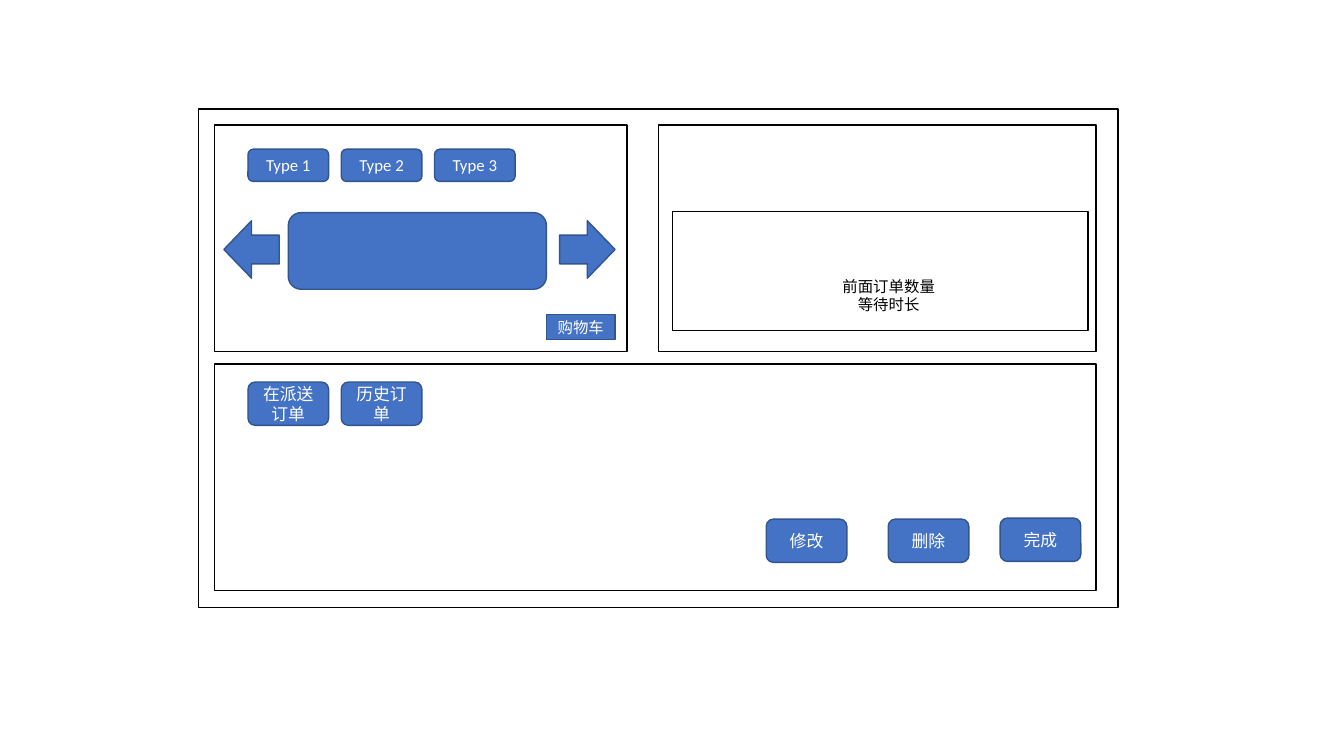
from pptx import Presentation
from pptx.dml.color import RGBColor
from pptx.enum.shapes import MSO_SHAPE
from pptx.enum.text import MSO_ANCHOR, PP_ALIGN
from pptx.util import Inches, Pt

BLUE = RGBColor(0x44, 0x72, 0xC4)
DARK_BLUE = RGBColor(0x32, 0x54, 0x91)
BLACK = RGBColor(0, 0, 0)
WHITE = RGBColor(255, 255, 255)
FONT = "Calibri"

# Content: boxes are (left, top, width, height) in inches
TYPES = ["Type 1", "Type 2", "Type 3"]
ORDER_TABS = ["在派送订单", "历史订单"]
ACTIONS = [("修改", 7.6, 5.15), ("删除", 8.81, 5.15), ("完成", 9.92, 5.14)]
CART = "购物车"
QUEUE_INFO = "前面订单数量\n等待时长"

WINDOW = (1.97, 1.08, 9.12, 4.95)
PANEL_LEFT, PANEL_TOP, PANEL_HEIGHT = 2.13, 1.24, 2.25
ORDERS_TOP = 3.61
PANELS = [
    WINDOW,
    (PANEL_LEFT, PANEL_TOP, 4.09, PANEL_HEIGHT),
    (6.53, PANEL_TOP, 4.34, PANEL_HEIGHT),
    (PANEL_LEFT, ORDERS_TOP, 8.74, PANEL_HEIGHT),
    (6.67, 2.1, 4.12, 1.18),
]
BUTTON_LEFT, BUTTON_PITCH, BUTTON_WIDTH = 2.46, 0.925, 0.8
TYPE_HEIGHT, ORDER_HEIGHT = 0.32, 0.43
ARROWS = [(MSO_SHAPE.LEFT_ARROW, 2.22), (MSO_SHAPE.RIGHT_ARROW, 5.55)]


def write(frame, text, size, color):
    """Put centred text into a frame and format every run."""
    frame.text = text
    for paragraph in frame.paragraphs:
        paragraph.alignment = PP_ALIGN.CENTER
        for run in paragraph.runs:
            run.font.name = FONT
            run.font.size = Pt(size)
            run.font.color.rgb = color


def add_block(kind, box, text="", size=12, fill=BLUE, line=DARK_BLUE):
    """Add an outlined shape, filled and labelled if asked."""
    block = slide.shapes.add_shape(kind, *map(Inches, box))
    block.shadow.inherit = False
    if fill is None:
        block.fill.background()
    else:
        block.fill.solid()
        block.fill.fore_color.rgb = fill
    block.line.color.rgb = line
    block.line.width = Pt(1)
    if text:
        block.text_frame.vertical_anchor = MSO_ANCHOR.MIDDLE
        write(block.text_frame, text, size, WHITE)


def add_button(label, left, top, height):
    """Add one rounded button."""
    add_block(MSO_SHAPE.ROUNDED_RECTANGLE, (left, top, BUTTON_WIDTH, height), label)


def add_button_row(labels, top, height):
    """Add evenly spaced buttons from the left button margin."""
    for column, label in enumerate(labels):
        add_button(label, BUTTON_LEFT + column * BUTTON_PITCH, top, height)


presentation = Presentation()
presentation.slide_width = Inches(13.33)
presentation.slide_height = Inches(7.5)
slide = presentation.slides.add_slide(presentation.slide_layouts[6])

for panel in PANELS:
    add_block(MSO_SHAPE.RECTANGLE, panel, fill=None, line=BLACK)

add_button_row(TYPES, 1.48, TYPE_HEIGHT)
add_block(MSO_SHAPE.ROUNDED_RECTANGLE, (2.86, 2.11, 2.56, 0.76))
for direction, left in ARROWS:
    add_block(direction, (left, 2.19, 0.55, 0.57))
add_block(MSO_SHAPE.RECTANGLE, (5.42, 3.12, 0.68, 0.25), CART, 11)

add_button_row(ORDER_TABS, 3.79, ORDER_HEIGHT)
for label, left, top in ACTIONS:
    add_button(label, left, top, ORDER_HEIGHT)

queue_info = slide.shapes.add_textbox(*map(Inches, (8.25, 2.7, 1.13, 0.47)))
queue_info.text_frame.word_wrap = False
write(queue_info.text_frame, QUEUE_INFO, 11, BLACK)

presentation.save("out.pptx")
